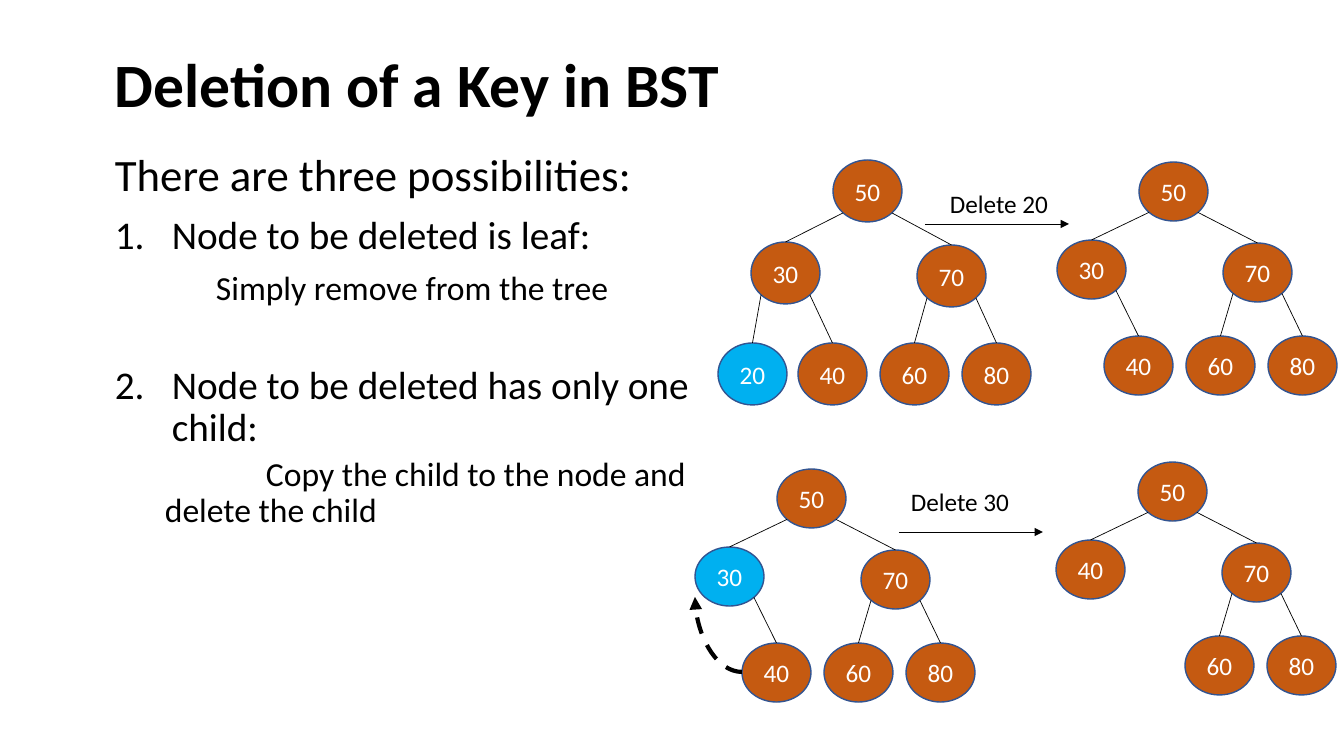
from dataclasses import dataclass
from typing import Optional

from lxml import etree
from pptx import Presentation
from pptx.dml.color import RGBColor
from pptx.enum.dml import MSO_LINE
from pptx.enum.shapes import MSO_CONNECTOR, MSO_SHAPE
from pptx.enum.text import MSO_ANCHOR, PP_ALIGN
from pptx.oxml.ns import qn
from pptx.shapes.connector import Connector
from pptx.util import Pt

OVAL = MSO_SHAPE.OVAL
STRAIGHT, CURVE = MSO_CONNECTOR.STRAIGHT, MSO_CONNECTOR.CURVE
DASH = MSO_LINE.DASH
MIDDLE, TOP = MSO_ANCHOR.MIDDLE, MSO_ANCHOR.TOP
CENTER, LEFT = PP_ALIGN.CENTER, PP_ALIGN.LEFT

BLACK = RGBColor(0x00, 0x00, 0x00)
WHITE = RGBColor(0xFF, 0xFF, 0xFF)
ORANGE = RGBColor(0xC5, 0x5A, 0x11)
CYAN = RGBColor(0x00, 0xB0, 0xF0)
OUTLINE = RGBColor(0x32, 0x54, 0x91)

FONT = "Calibri"
EMU_PER_PX = 914400 / 100.8
NODE_WIDTH, NODE_HEIGHT = 69, 59
DIAGONAL = 0.146  # inset of an ellipse's 45-degree point from its bounding box

# Position of each node relative to the root, for nodes of NODE_HEIGHT.
# A name is the route from the root: L = left child, R = right child.
OFFSETS = {
    "": (0, 0),
    "L": (-82, 78), "R": (84, 81),
    "LL": (-115, 174), "LR": (-35, 174), "RL": (47, 174), "RR": (129, 174),
}


@dataclass
class Tree:
    root_x: int
    root_y: int
    keys: dict[str, int]
    marked: Optional[str] = None
    node_height: int = NODE_HEIGHT

    def corner(self, route: str) -> tuple[int, int]:
        dx, dy = OFFSETS[route]
        return (self.root_x + dx,
                self.root_y + round(dy * self.node_height / NODE_HEIGHT))


@dataclass
class Step:
    label: str
    label_x: int
    label_y: int
    arrow_x: int
    arrow_y: int


@dataclass
class Line:
    text: str
    size: int
    before: int = 0
    margin: int = 0
    indent: int = 0
    number: Optional[int] = None
    bold: bool = False


TREES = [
    Tree(833, 160, {"": 50, "L": 30, "R": 70, "LL": 20, "LR": 40, "RL": 60, "RR": 80},
         marked="LL", node_height=62),
    Tree(1139, 162, {"": 50, "L": 30, "R": 70, "LR": 40, "RL": 60, "RR": 80}),
    Tree(777, 469, {"": 50, "L": 30, "R": 70, "LR": 40, "RL": 60, "RR": 80}, marked="L"),
    Tree(1138, 462, {"": 50, "L": 40, "R": 70, "RL": 60, "RR": 80}),
]
STEPS = [
    Step("Delete 20", 940, 183, 925, 224),
    Step("Delete 30", 901, 481, 899, 532),
]
ARROW_LENGTH = 144
TITLE = [Line("Deletion of a Key in BST", 44, bold=True)]
POSSIBILITIES = [
    Line("There are three possibilities:", 32, 10),
    Line("Node to be deleted is leaf:", 28, 10, 57, -57, 1),
    Line("Simply remove from the tree", 24, 10, 101),
    Line("Node to be deleted has only one child:", 28, 41, 57, -57, 2),
    Line("Copy the child to the node and delete the child", 24, 5, 50, 101),
]


def px(value: float) -> int:
    return round(value * EMU_PER_PX)


def add_text(shapes, box: tuple[int, int, int, int], lines: list[Line],
             anchor=TOP, spacing: float = 0.9) -> None:
    frame = shapes.add_textbox(*map(px, box)).text_frame
    frame.word_wrap = True
    frame.vertical_anchor = anchor
    for i, line in enumerate(lines):
        paragraph = frame.add_paragraph() if i else frame.paragraphs[0]
        paragraph.text = line.text
        paragraph.alignment = LEFT
        paragraph.line_spacing = spacing
        paragraph.space_before = Pt(line.before)
        properties = paragraph._p.get_or_add_pPr()
        properties.set("marL", str(px(line.margin)))
        properties.set("indent", str(px(line.indent)))
        if line.number:
            etree.SubElement(properties, qn("a:buAutoNum"),
                             type="arabicPeriod", startAt=str(line.number))
        font = paragraph.font
        font.name, font.size, font.bold = FONT, Pt(line.size), line.bold
        font.color.rgb = BLACK


def add_line(shapes, start: tuple[float, float], end: tuple[float, float],
             width: float = 0.5, kind=STRAIGHT, arrow: bool = False) -> Connector:
    connector = shapes.add_connector(kind, *map(px, (*start, *end)))
    connector.line.color.rgb = BLACK
    connector.line.width = Pt(width)
    if arrow:
        etree.SubElement(connector.line._get_or_add_ln(), qn("a:tailEnd"), type="triangle")
    etree.SubElement(connector._element.spPr, qn("a:effectLst"))
    return connector


def add_node(shapes, tree: Tree, route: str) -> None:
    x, y = tree.corner(route)
    node = shapes.add_shape(OVAL, *map(px, (x, y, NODE_WIDTH, tree.node_height)))
    node.shadow.inherit = False
    node.fill.solid()
    node.fill.fore_color.rgb = CYAN if route == tree.marked else ORANGE
    node.line.color.rgb = OUTLINE
    node.line.width = Pt(1)
    frame = node.text_frame
    frame.word_wrap = False
    frame.vertical_anchor = MIDDLE
    key = frame.paragraphs[0]
    key.text = str(tree.keys[route])
    key.alignment = CENTER
    key.font.name, key.font.size = FONT, Pt(18)
    key.font.color.rgb = WHITE


def add_edge(shapes, tree: Tree, route: str) -> None:
    parent_x, parent_y = tree.corner(route[:-1])
    child_x, child_y = tree.corner(route)
    side = DIAGONAL if route.endswith("L") else 1 - DIAGONAL
    add_line(shapes,
             (parent_x + side * NODE_WIDTH, parent_y + (1 - DIAGONAL) * tree.node_height),
             (child_x + NODE_WIDTH / 2, child_y))


presentation = Presentation()
presentation.slide_width, presentation.slide_height = px(1344), px(756)
slide = presentation.slides.add_slide(presentation.slide_layouts[6])

# Title and the list of possibilities
add_text(slide.shapes, (105, 15, 1159, 146), TITLE, MIDDLE)
add_text(slide.shapes, (105, 148, 631, 480), POSSIBILITIES)

# Trees before and after each deletion
for tree in TREES:
    group = slide.shapes.add_group_shape().shapes
    for route in tree.keys:
        add_node(group, tree, route)
    for route in filter(None, tree.keys):
        add_edge(group, tree, route)

# Labelled arrows between the trees
for step in STEPS:
    add_line(slide.shapes, (step.arrow_x, step.arrow_y),
             (step.arrow_x + ARROW_LENGTH, step.arrow_y), arrow=True)
    add_text(slide.shapes, (step.label_x, step.label_y, 191, 40),
             [Line(step.label, 18)], spacing=1.0)

# Dashed arrow copying child 40 into node 30
copy_arrow = add_line(slide.shapes, (742, 672), (695, 597), 3, CURVE, arrow=True)
copy_arrow.line.dash_style = DASH
copy_arrow._element.spPr.find(qn("a:prstGeom")).set("prst", "curvedConnector2")

presentation.save("out.pptx")
